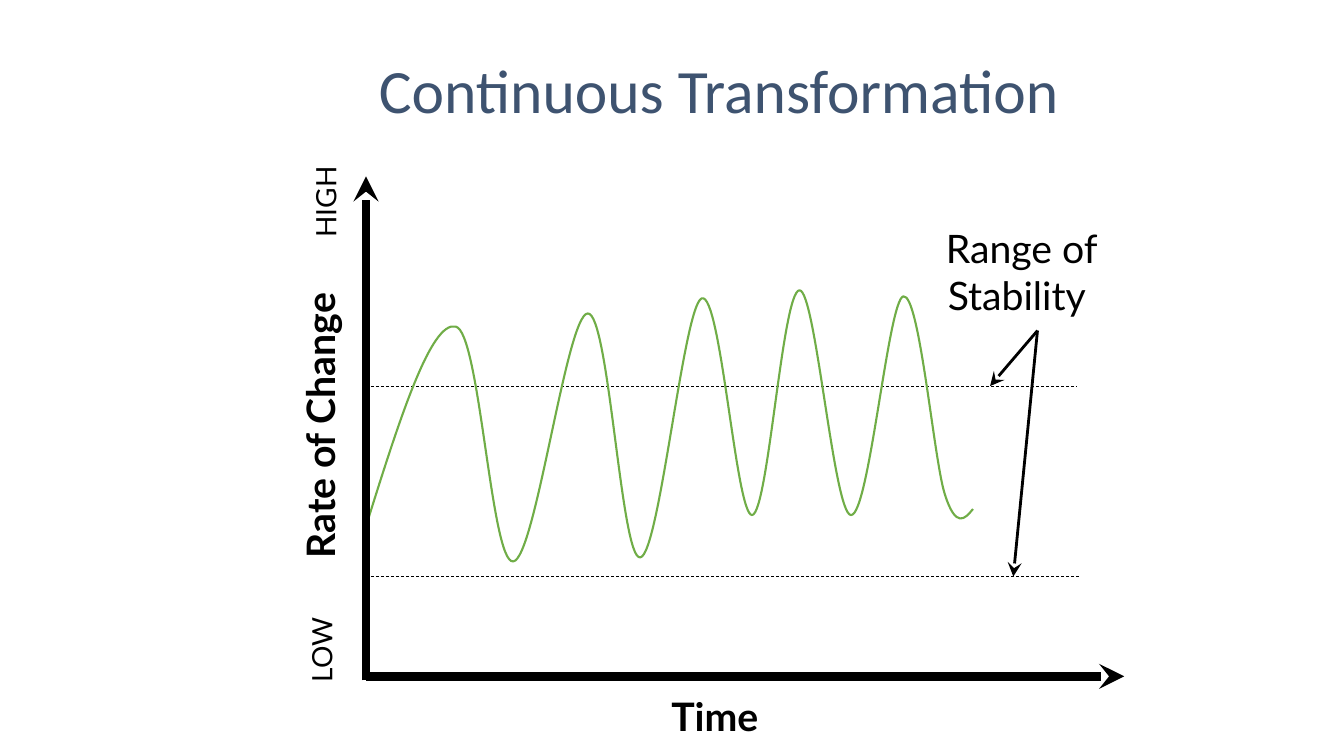
from pptx import Presentation
from pptx.dml.color import RGBColor
from pptx.enum.dml import MSO_LINE
from pptx.enum.shapes import MSO_CONNECTOR
from pptx.enum.text import MSO_ANCHOR, PP_ALIGN
from pptx.oxml.ns import qn
from pptx.util import Inches, Pt
from lxml.etree import SubElement

# Content
TITLE = "Continuous Transformation "
BLACK, BLUE, GREEN = "000000", "3E5370", "70AD47"

# text, (left, top, width, height), size, bold, rotation
LABELS = [
    ("Time", (5.72, 6.82, 2.74, 0.75), 28, True, 0),
    ("HIGH", (2.45, 1.79, 1.55, 0.43), 20, False, 270),
    ("LOW", (2.43, 6.21, 1.55, 0.47), 20, False, 270),
    ("Rate of Change ", (1.13, 3.93, 4, 0.49), 28, True, 270),
    ("Range of Stability ", (8.76, 2.18, 2.74, 0.75), 28, False, 0),
]

LEFT, UPPER, LOWER = 3.63, 3.83, 5.72
CALL = (10.29, 3.28)

# start, end, width, dashed, arrow size
LIMITS = [
    ((LEFT, UPPER), (10.68, UPPER), 0.5, True, None),
    ((LEFT, LOWER), (10.72, LOWER), 0.5, True, None),
]
ARROWS = [
    (CALL, (9.82, UPPER), 2, False, "lg"),
    (CALL, (10.05, LOWER), 2, False, "lg"),
]
AXES = [
    ((LEFT, 6.71), (11.15, 6.71), 6, False, "med"),
    ((LEFT, 6.75), (LEFT, 1.75), 6, False, "med"),
]

# Each bend: two control points and an end point
START = (LEFT, 5.22)
BENDS = [
    ((3.95, 4.2), (4.27, 3.18), (4.52, 3.24)),
    ((4.76, 3.29), (4.87, 5.59), (5.09, 5.57)),
    ((5.31, 5.55), (5.62, 3.11), (5.83, 3.11)),
    ((6.04, 3.1), (6.16, 5.56), (6.35, 5.53)),
    ((6.54, 5.51), (6.78, 3.03), (6.96, 2.96)),
    ((7.15, 2.89), (7.3, 5.12), (7.46, 5.11)),
    ((7.62, 5.09), (7.76, 2.88), (7.93, 2.88)),
    ((8.09, 2.88), (8.27, 5.1), (8.44, 5.11)),
    ((8.62, 5.12), (8.81, 2.97), (8.96, 2.94)),
    ((9.12, 2.91), (9.26, 4.55), (9.37, 4.9)),
    ((9.48, 5.25), (9.57, 5.15), (9.65, 5.05)),
]


def color(code):
    return RGBColor.from_string(code)


def style(para, font, size, code, bold=False):
    para.alignment = PP_ALIGN.CENTER
    for run in para.runs:
        run.font.name = font
        run.font.size = Pt(size)
        run.font.bold = bold
        run.font.color.rgb = color(code)


def place(shape, box):
    shape.left, shape.top, shape.width, shape.height = map(Inches, box)


def add_label(text, box, size, bold, turn):
    label = slide.shapes.add_textbox(*map(Inches, box))
    label.rotation = turn
    frame = label.text_frame
    frame.word_wrap = True
    frame.text = text
    frame.paragraphs[0].space_after = Pt(6)
    style(frame.paragraphs[0], "Lato", size, BLACK, bold)


def add_line(start, end, width, dashed, head):
    link = slide.shapes.add_connector(
        MSO_CONNECTOR.STRAIGHT, *map(Inches, start + end))
    link.line.color.rgb = color(BLACK)
    link.line.width = Pt(width)
    if dashed:
        link.line.dash_style = MSO_LINE.DASH
    props = link._element.spPr
    if head:
        SubElement(props.find(qn("a:ln")), qn("a:tailEnd"),
                   type="stealth", w=head, len=head)
    SubElement(props, qn("a:effectLst"))


def add_wave():
    pen = slide.shapes.build_freeform(*map(Inches, START))
    points = [tuple(map(Inches, point)) for bend in BENDS for point in bend]
    pen.add_line_segments(points, close=False)
    wave = pen.convert_to_shape()
    # Join every three points into one smooth bend
    legs = list(wave._element.iter(qn("a:lnTo")))
    track = legs[0].getparent()
    for n in range(0, len(legs), 3):
        curve = SubElement(track, qn("a:cubicBezTo"))
        for leg in legs[n:n + 3]:
            curve.append(leg[0])
            track.remove(leg)
    wave.shadow.inherit = False
    wave.fill.background()
    wave.line.color.rgb = color(GREEN)
    wave.line.width = Pt(1.5)


# Slide and title
deck = Presentation()
deck.slide_width, deck.slide_height = Inches(13.33), Inches(7.5)
slide = deck.slides.add_slide(deck.slide_layouts[5])
title = slide.shapes.title
place(title, (2.73, 0.3, 8.94, 1.25))
title.text_frame.text = TITLE
title.text_frame.vertical_anchor = MSO_ANCHOR.MIDDLE
title.text_frame.paragraphs[0].line_spacing = 0.9
style(title.text_frame.paragraphs[0], "Calibri", 44, BLUE)

# Diagram
for label in LABELS:
    add_label(*label)
for line in LIMITS + ARROWS:
    add_line(*line)
add_wave()
for axis in AXES:
    add_line(*axis)

deck.save("out.pptx")
